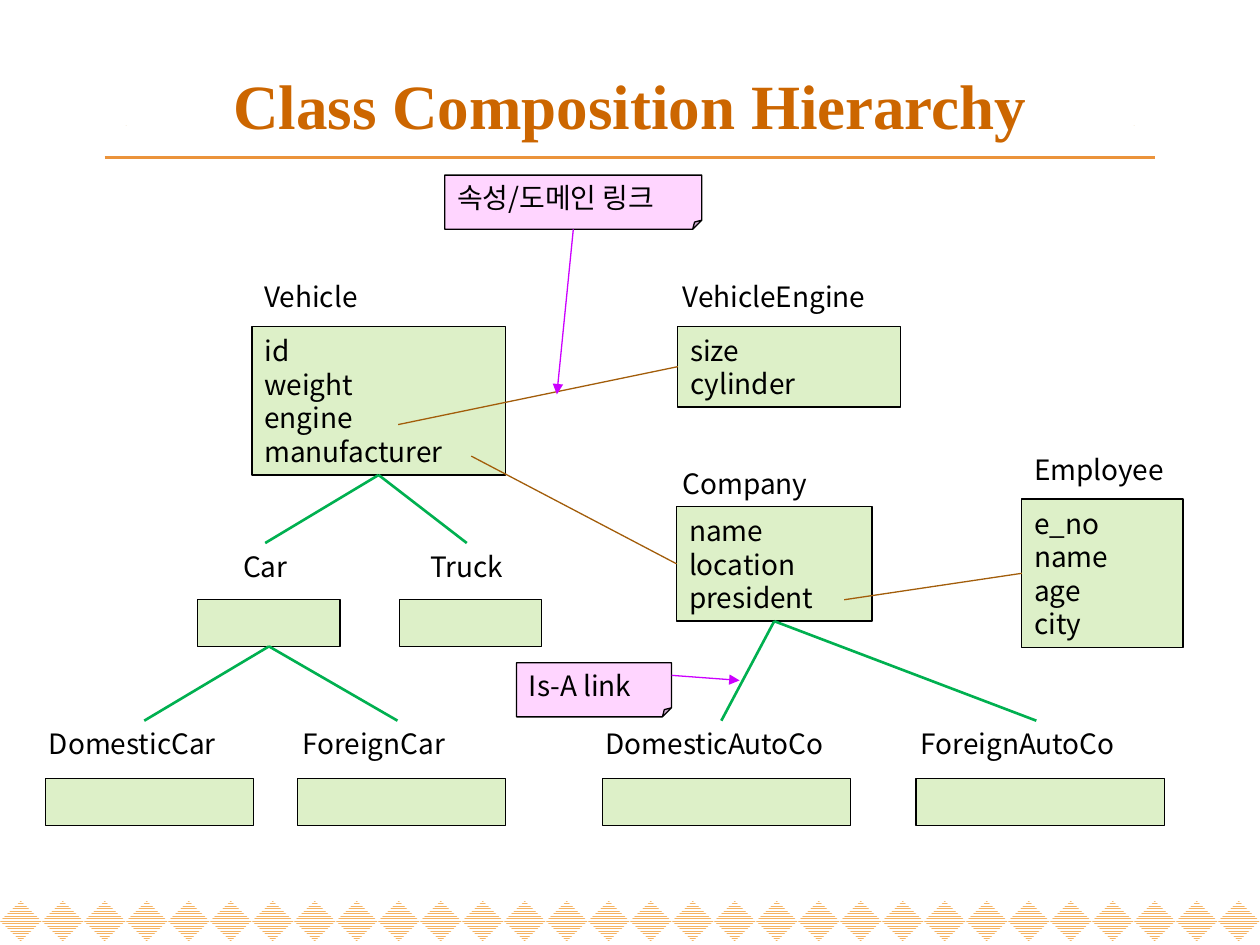
from pptx import Presentation
from pptx.dml.color import RGBColor
from pptx.enum import dml, shapes, text
from pptx.oxml.ns import qn
from pptx.util import Inches, Pt
from lxml import etree

SANS, SERIF = "Noto Sans CJK KR", "Times New Roman"
BLACK, GREEN, PINK = "000000", "DDF0C8", "FFD5FF"
BROWN, PURPLE, TREE = "A25D0A", "CC00FF", "00B050"

TITLE = "Class Composition Hierarchy"
CLASSES = [
    ("Vehicle", (2, 2.17, 1.07), (2, 2.59, 2.01, 1.18), ["id", "weight", "engine", "manufacturer"]),
    ("VehicleEngine", (5.32, 2.17, 1.89), (5.38, 2.59, 1.77, 0.64), ["size", "cylinder"]),
    ("Company", (5.32, 3.65, 1.25), (5.37, 4.02, 1.55, 0.91), ["name", "location", "president"]),
    ("Employee", (8.11, 3.54, 1.28), (8.11, 3.96, 1.28, 1.18), ["e_no", "name", "age", "city"]),
    ("Truck", (3.11, 4.31, 1.19), (3.17, 4.76, 1.13, 0.37), []),
    ("Car", (1.51, 4.31, 1.19), (1.57, 4.76, 1.13, 0.37), []),
    ("DomesticCar", (0.29, 5.72, 1.71), (0.36, 6.18, 1.65, 0.37), []),
    ("ForeignCar", (2.3, 5.72, 1.71), (2.36, 6.18, 1.65, 0.37), []),
    ("DomesticAutoCo", (4.71, 5.72, 2.03), (4.78, 6.18, 1.97, 0.37), []),
    ("ForeignAutoCo", (7.21, 5.72, 2.03), (7.27, 6.18, 1.97, 0.37), []),
]
CENTRED = ("Car", "Truck")
TREES = {
    "Vehicle": ["Car", "Truck"],
    "Car": ["DomesticCar", "ForeignCar"],
    "Company": ["DomesticAutoCo", "ForeignAutoCo"],
}
DOMAINS = [
    ((3.16, 3.37), "VehicleEngine"),
    ((3.74, 3.62), "Company"),
    ((6.7, 4.76), "Employee"),
]
NOTES = [
    ("속성/도메인 링크", (3.53, 1.39, 2.04, 0.43), (4.55, 1.82), (4.42, 3.13)),
    ("Is-A link", (4.1, 5.26, 1.23, 0.43), (5.33, 5.36), (5.87, 5.4)),
]
CUBE = [
    ("F1E785", [(0.86, 0.86), (1.03, 0.59), (1.19, 0.86), (1.03, 1.14)]),
    ("F3C917", [(1.16, 0.86), (1.36, 0.86), (1.23, 0.59), (1.03, 0.59)]),
    ("BB9321", [(1.16, 0.86), (1.36, 0.86), (1.23, 1.13), (1.03, 1.13)]),
    ("F5B363", [(0.67, 0.86), (0.79, 0.58), (0.91, 0.86), (0.79, 1.13)]),
    ("EB933B", [(0.9, 0.86), (1.12, 0.86), (0.99, 0.59), (0.78, 0.59)]),
    ("CC6600", [(0.9, 0.86), (1.12, 0.86), (0.99, 1.14), (0.78, 1.14)]),
    ("CC6600", [(0.78, 0.68), (0.71, 0.86), (0.86, 0.86)]),
    ("EB933B", [(0.78, 1.04), (0.71, 0.86), (0.86, 0.86)]),
]
CUBE_LEFTS = (0, 7.94)
DIAMONDS = 30

deck = Presentation()
deck.slide_width, deck.slide_height = Inches(10), Inches(7.5)
slide = deck.slides.add_slide(deck.slide_layouts[6])
parts = slide.shapes


def color(code):
    return RGBColor.from_string(code)


def paint(shape, fill, edge=None):
    shape.shadow.inherit = False
    shape.fill.solid()
    shape.fill.fore_color.rgb = color(fill)
    if edge:
        shape.line.color.rgb = color(edge)
        shape.line.width = Pt(0.75)
    else:
        shape.line.fill.background()


def block(kind, box, fill, edge=None):
    shape = parts.add_shape(kind, *map(Inches, box))
    paint(shape, fill, edge)
    return shape


def write(shape, lines, size=16, face=SANS, ink=BLACK, bold=False,
          align=text.PP_ALIGN.LEFT, wrap=True, anchor=text.MSO_ANCHOR.MIDDLE):
    frame = shape.text_frame
    frame.text = "\n".join(lines)
    frame.word_wrap = wrap
    frame.vertical_anchor = anchor
    for para in frame.paragraphs:
        para.alignment = align
        font = para.font
        font.size, font.name, font.bold = Pt(size), face, bold
        font.color.rgb = color(ink)
        for run in para.runs:
            etree.SubElement(run.font._element, qn("a:ea"), typeface=face)


def label(box, words, **style):
    write(parts.add_textbox(*map(Inches, box)), [words], **style)


def link(start, end, ink, width=0.75, arrow=False):
    line = parts.add_connector(shapes.MSO_CONNECTOR.STRAIGHT, *map(Inches, start + end))
    line.line.color.rgb = color(ink)
    line.line.width = Pt(width)
    if arrow:
        etree.SubElement(line.get_or_add_ln(), qn("a:tailEnd"), type="triangle")
    etree.SubElement(line._element.spPr, qn("a:effectLst"))


for i in range(DIAMONDS):
    gem = block(shapes.MSO_SHAPE.DIAMOND, (i / 3, 7.15, 0.33, 0.32), "FFFFFF")
    gem.fill.patterned()
    gem.fill.pattern = dml.MSO_PATTERN.NARROW_HORIZONTAL
    gem.fill.fore_color.rgb = color("F5B363")
    gem.fill.back_color.rgb = color("FFFFFF")

link((0.83, 1.25), (9.17, 1.25), "EB933B", 2.25)
for left in CUBE_LEFTS:
    for fill, points in CUBE:
        (x, y), *rest = [(left + px, py) for px, py in points]
        pen = parts.build_freeform(x, y, scale=Inches(1))
        pen.add_line_segments(rest, close=True)
        paint(pen.convert_to_shape(), fill)

label((0.5, 0.45, 9, 0.76), TITLE, size=36, face=SERIF, ink="CC6600",
      bold=True, align=text.PP_ALIGN.CENTER)

tops, feet, sides = {}, {}, {}
for name, (x, y, w), box, fields in CLASSES:
    align = text.PP_ALIGN.CENTER if name in CENTRED else text.PP_ALIGN.LEFT
    label((x, y, w, 0.37), name, align=align, anchor=text.MSO_ANCHOR.TOP)
    body = block(shapes.MSO_SHAPE.RECTANGLE, box, GREEN, BLACK)
    if fields:
        write(body, fields, wrap=False)
    left, top, wide, high = box
    tops[name] = (x + w / 2, y)
    feet[name] = (left + wide / 2, top + high)
    sides[name] = (left, top + high / 2)

for start, name in DOMAINS:
    link(start, sides[name], BROWN)
for name, kids in TREES.items():
    for kid in kids:
        link(feet[name], tops[kid], TREE, 1.5)
for words, box, start, end in NOTES:
    note = block(shapes.MSO_SHAPE.FOLDED_CORNER, box, PINK, BLACK)
    write(note, [words])
    link(start, end, PURPLE, arrow=True)

deck.save("out.pptx")
